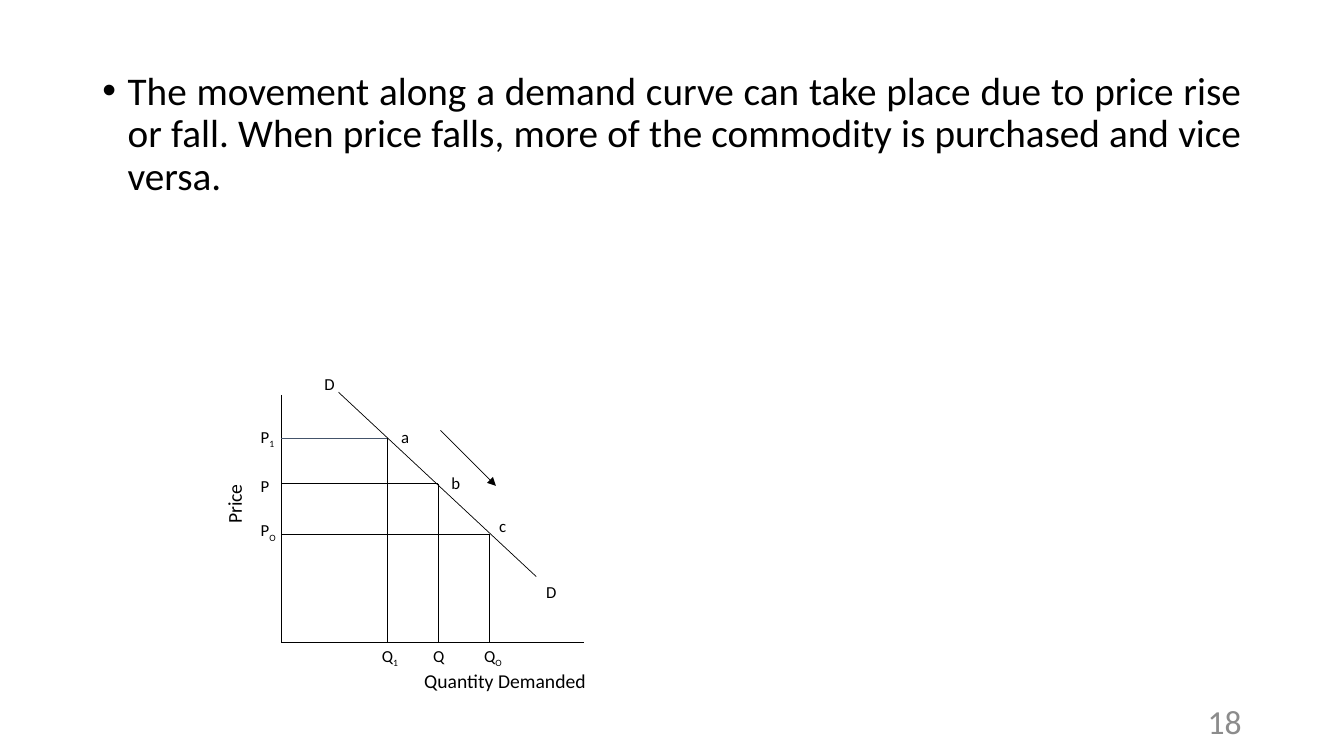
from pptx import Presentation
from pptx.dml.color import RGBColor
from pptx.enum.shapes import MSO_CONNECTOR as LINE
from pptx.enum.text import MSO_ANCHOR as ANCHOR, PP_ALIGN as ALIGN
from pptx.oxml.ns import qn
from pptx.util import Inches, Pt
from lxml.etree import SubElement as add_node

BLACK = RGBColor(0, 0, 0)
SLATE = RGBColor(0x44, 0x54, 0x6A)
GREY = RGBColor(0x8C, 0x8C, 0x8C)
FONT = "Calibri"

deck = Presentation()
deck.slide_width, deck.slide_height = Inches(40 / 3), Inches(7.5)
COL, ROW = deck.slide_width / 160, deck.slide_height / 90
slide = deck.slides.add_slide(deck.slide_layouts[1])


def put(text, x, y, wide, high, sub="", size=12, color=BLACK,
        align=ALIGN.LEFT, anchor=ANCHOR.TOP, turn=0, box=None):
    """Write text, with an optional subscript, into a box on the grid."""
    box = box or slide.shapes.add_textbox(0, 0, 0, 0)
    box.left, box.top = int(x * COL), int(y * ROW)
    box.width, box.height = int(wide * COL), int(high * ROW)
    box.rotation = turn
    frame = box.text_frame
    frame.word_wrap, frame.vertical_anchor = True, anchor
    para = frame.paragraphs[0]
    para.alignment = align
    for part, base in ((text, 0), (sub, -25000)):
        if part:
            run = para.add_run()
            run.text = part
            font = run.font
            font.name, font.size, font.color.rgb = FONT, Pt(size), color
            if base:
                run._r.get_or_add_rPr().set("baseline", str(base))
    return para


def draw(x1, y1, x2, y2, color=BLACK, head=False):
    """Draw a thin line on the grid, with an arrowhead if asked."""
    line = slide.shapes.add_connector(
        LINE.STRAIGHT, int(x1 * COL), int(y1 * ROW), int(x2 * COL), int(y2 * ROW))
    line.line.color.rgb, line.line.width = color, Pt(0.5)
    if head:
        add_node(line.line._get_or_add_ln(), qn("a:tailEnd"), type="triangle")
    add_node(line._element.spPr, qn("a:effectLst"))


# Body text
title, body = slide.placeholders
title.element.getparent().remove(title.element)
para = put("The movement along a demand curve can take place due to price rise or "
           "fall. When price falls, more of the commodity is purchased and vice versa.",
           11, 7.92, 138, 68.3, size=28, align=ALIGN.JUSTIFY, box=body)
para.line_spacing, para.space_before = 0.9, Pt(10)
props = para._p.get_or_add_pPr()
props.set("marL", str(Inches(0.25)))
props.set("indent", str(Inches(-0.25)))
add_node(props, qn("a:buFont"), typeface="Arial")
add_node(props, qn("a:buChar"), char="\u2022")

# Axes, demand curve and direction of movement
LEFT, BASE = 33.5, 76.44
draw(LEFT, 47, LEFT, BASE)
draw(LEFT, BASE, 69.5, BASE)
draw(40.3, 46.7, 63.84, 68.64)
draw(52.44, 51.24, 59.04, 57.84, head=True)
put("Quantity Demanded", 49.32, 79.08, 28.2, 4.8, size=14)
put("Price", 24.24, 57.12, 8.04, 4.8, size=14, turn=270)
for x, y in ((37.44, 43.92), (63.84, 68.64)):
    put("D", x, y, 5.16, 4.44)

# Points on the curve: name, subscript, place, tops of P and name, name shift
for name, sub, x, y, p_top, top, shift, color in (
        ("a", "1", 46.08, 52.2, 50.16, 50.16, 0.48, SLATE),
        ("b", "", 52.2, 57.6, 56.04, 55.68, 0.36, BLACK),
        ("c", "O", 58.25, 63.6, 61.32, 60.84, 0, BLACK)):
    draw(x, y, x, BASE)
    draw(x, y, LEFT, y, color)
    put("P", 29.85, p_top, 5.5, 4.9, sub)
    put("Q", x - 1.8, 76.3, 5.5, 4.9, sub)
    put(name, x + shift, top, 4.9, 4.44)

put("18", 113, 83.4, 36, 4.8, size=24, color=GREY, align=ALIGN.RIGHT,
    anchor=ANCHOR.MIDDLE)
deck.save("out.pptx")
